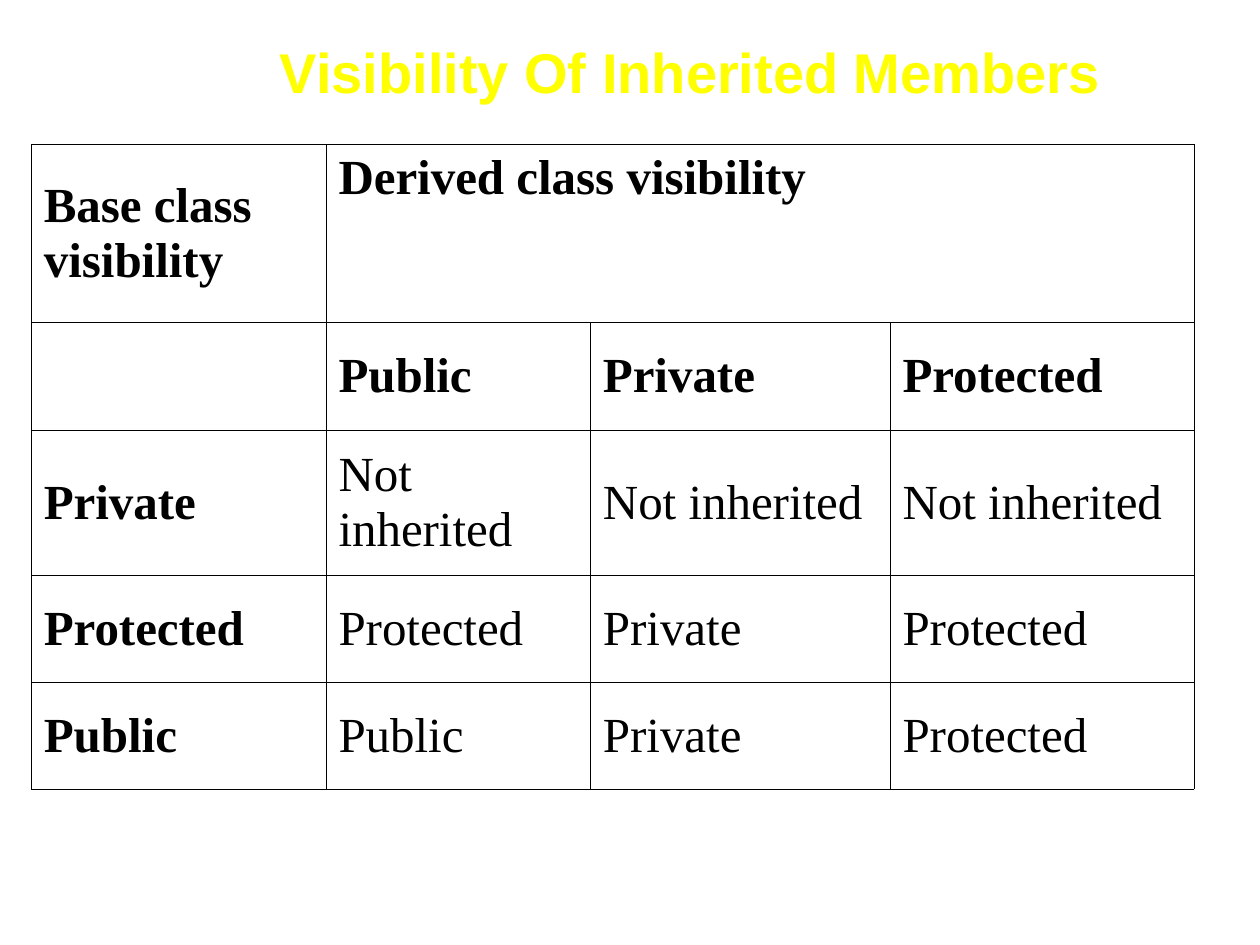
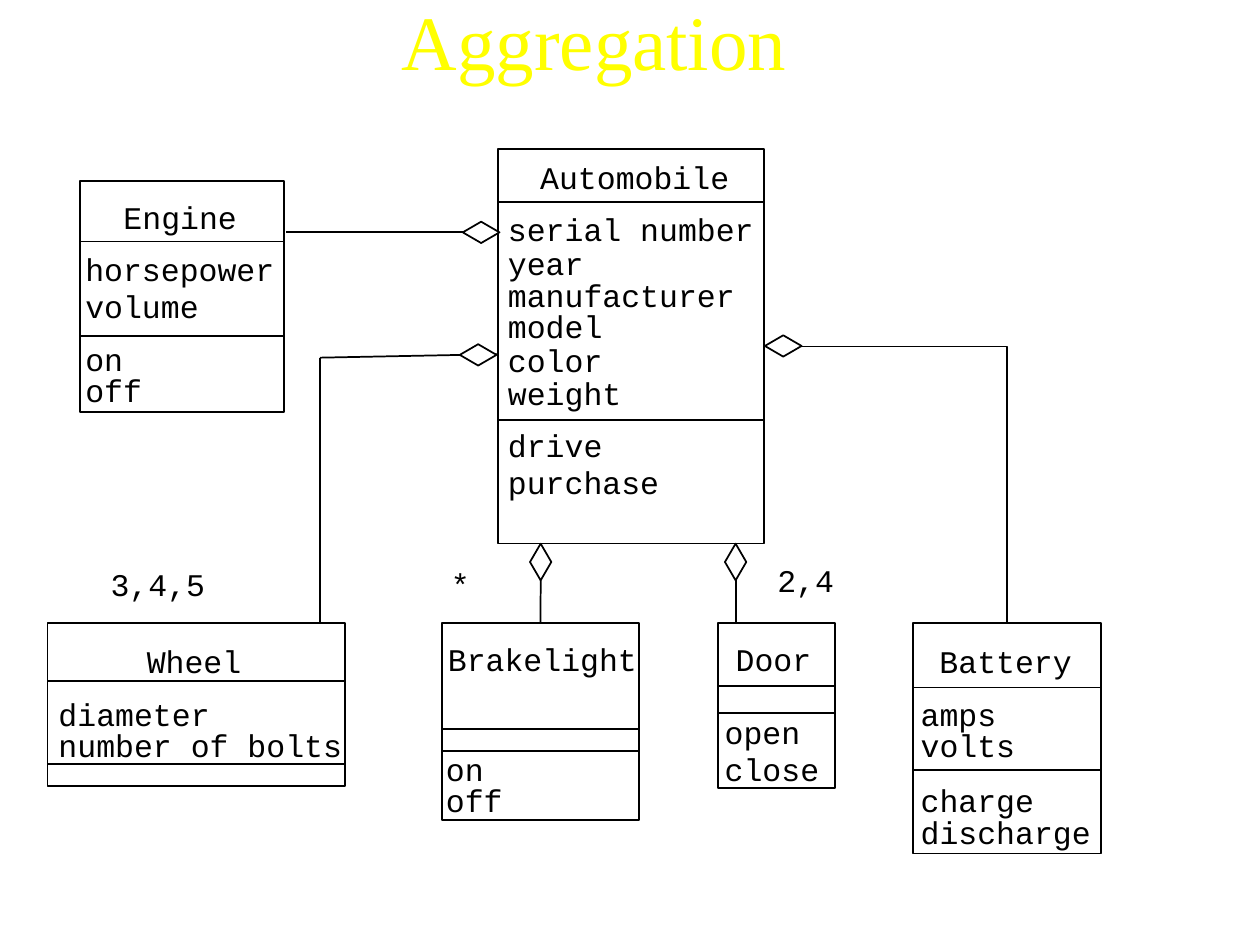
from lxml import etree
from pptx import Presentation
from pptx.dml.color import RGBColor
from pptx.enum.shapes import MSO_CONNECTOR as LINK, MSO_SHAPE as SHAPE
from pptx.enum.text import MSO_ANCHOR as ANCHOR, MSO_AUTO_SIZE as FIT, PP_ALIGN as ALIGN
from pptx.oxml.ns import qn
from pptx.util import Cm, Pt

BLACK, WHITE, YELLOW = "000000", "FFFFFF", "FFFF00"
SERIF, SANS, MONO = "Times New Roman", "Arial", "Courier New"

# Slide 1: inheritance table, lengths in cm
VISIBILITY_ROWS = [
    ("Base class visibility", "Derived class visibility", "", ""),
    ("", "Public", "Private", "Protected"),
    ("Private", "Not inherited", "Not inherited", "Not inherited"),
    ("Protected", "Protected", "Private", "Protected"),
    ("Public", "Public", "Private", "Protected"),
]
COLUMN_WIDTHS = (5.94, 5.33, 6.04, 6.13)
ROW_HEIGHTS = (3.59, 2.17, 2.92, 2.16, 2.16)

# Slide 2: class -> box, name position, left of members, dividers, members with tops
CLASSES = {
    "Automobile": ((10.04, 3.01, 5.36, 7.95), (10.64, 3.07), 9.99, (4.07, 8.46), [
        ("serial number", 4.11), ("year", 4.8), ("manufacturer", 5.44), ("model", 6.07),
        ("color", 6.76), ("weight", 7.41), ("drive", 8.46), ("purchase", 9.21)]),
    "Engine": ((1.61, 3.65, 4.12, 4.65), (2.24, 3.86), 1.47, (4.87, 6.77), [
        ("horsepower", 4.92), ("volume", 5.66), ("on", 6.72), ("off", 7.36)]),
    "Wheel": ((0.96, 12.56, 6.0, 3.29), (2.71, 12.82), 0.93, (13.73, 15.4), [
        ("diameter", 13.89), ("number of bolts", 14.52)]),
    "Brakelight": ((8.91, 12.56, 3.97, 3.97), (8.78, 12.78), 8.74, (14.7, 15.14), [
        ("on", 14.99), ("off", 15.62)]),
    "Door": ((14.48, 12.56, 2.36, 3.32), (14.58, 12.78), 14.36, (13.83, 14.38), [
        ("open", 14.25), ("close", 14.99)]),
    "Battery": ((18.4, 12.56, 3.8, 4.65), (18.69, 12.82), 18.31, (13.86, 15.52), [
        ("amps", 13.89), ("volts", 14.52), ("charge", 15.63), ("discharge", 16.26)]),
}
MULTIPLICITIES = [("3,4,5", 1.98, 11.26), ("*", 8.84, 11.26), ("2,4", 15.42, 11.18)]
ENGINE_LINK = [(9.78, 4.67), (5.77, 4.67)]
WHEEL_LINK = [(10.03, 7.14), (6.45, 7.21), (6.45, 12.56)]
SIDE_DIAMONDS = [(9.33, 4.47), (9.27, 6.94), (15.42, 6.76)]
DIAMOND_LONG, DIAMOND_SHORT = 0.74, 0.43
CHAR_WIDTH, LINE_HEIGHT, SIDE_INSETS = 0.38, 1.02, 0.58


def colour(hex_code):
    return RGBColor.from_string(hex_code)


def style(paragraph, font, size, hex_code, bold=False):
    paragraph.font.name, paragraph.font.size = font, Pt(size)
    paragraph.font.bold = bold
    paragraph.font.color.rgb = colour(hex_code)


def add_text(shapes, text, box, font, size, hex_code, bold=False, wrap=True):
    label = shapes.add_textbox(*map(Cm, box))
    frame = label.text_frame
    frame.word_wrap = wrap
    frame.auto_size = FIT.NONE
    frame.text = text
    style(frame.paragraphs[0], font, size, hex_code, bold)
    return frame


def add_title(slide, text, box, font, size, bold=False):
    frame = add_text(slide.shapes, text, box, font, size, YELLOW, bold)
    frame.paragraphs[0].alignment = ALIGN.CENTER
    return frame


def add_label(shapes, text, left, top):
    # The width leaves a little slack so that the longest names stay on one line
    width = SIDE_INSETS + CHAR_WIDTH * len(text)
    add_text(shapes, text, (left, top, width, LINE_HEIGHT), MONO, 18, BLACK, wrap=False)


def add_outline(shapes, kind, box, fill=None):
    shape = shapes.add_shape(kind, *map(Cm, box))
    shape.shadow.inherit = False
    if fill:
        shape.fill.solid()
        shape.fill.fore_color.rgb = colour(fill)
    else:
        shape.fill.background()
    shape.line.color.rgb, shape.line.width = colour(BLACK), Pt(1)
    return shape


def add_line(shapes, start, end, kind=LINK.STRAIGHT):
    line = shapes.add_connector(kind, *map(Cm, start + end))
    line.line.color.rgb, line.line.width = colour(BLACK), Pt(1)
    etree.SubElement(line._element.spPr, qn("a:effectLst"))
    return line


def add_class(slide, name, box, name_at, text_left, dividers, members):
    shapes = slide.shapes.add_group_shape().shapes
    rectangle = add_outline(shapes, SHAPE.RECTANGLE, box)
    add_label(shapes, name, *name_at)
    for member, top in members:
        add_label(shapes, member, text_left, top)
    left, _, width, _ = box
    for y in dividers:
        add_line(shapes, (left, y), (left + width, y))
    return rectangle


def add_borders(cell):
    properties = cell._tc.get_or_add_tcPr()
    for place, side in enumerate(("lnL", "lnR", "lnT", "lnB")):
        border = etree.Element(qn(f"a:{side}"), w=str(Pt(0.34)))
        fill = etree.SubElement(border, qn("a:solidFill"))
        etree.SubElement(fill, qn("a:srgbClr"), val=BLACK)
        properties.insert(place, border)


def build_visibility(slide):
    table = slide.shapes.add_table(
        len(ROW_HEIGHTS), len(COLUMN_WIDTHS), Cm(0.63), Cm(2.91),
        Cm(sum(COLUMN_WIDTHS)), Cm(sum(ROW_HEIGHTS))).table
    table.first_row = table.horz_banding = False
    for column, width in zip(table.columns, COLUMN_WIDTHS):
        column.width = Cm(width)
    for row, height in zip(table.rows, ROW_HEIGHTS):
        row.height = Cm(height)
    for r, texts in enumerate(VISIBILITY_ROWS):
        for c, text in enumerate(texts):
            cell = table.cell(r, c)
            cell.text = text
            cell.vertical_anchor = ANCHOR.MIDDLE
            cell.fill.background()
            style(cell.text_frame.paragraphs[0], SERIF, 28, BLACK, bold=r < 2 or c == 0)
            add_borders(cell)
    derived = table.cell(0, 1)
    derived.merge(table.cell(0, 3))
    derived.vertical_anchor = ANCHOR.TOP

    title = add_title(slide, "Visibility Of Inherited Members ",
                      (3.6, 0.64, 20.96, 1.63), SANS, 32, bold=True)
    title.paragraphs[0].space_before = Pt(4)


def build_aggregation(slide):
    shapes = slide.shapes
    title = add_title(slide, "Aggregation", (0.64, 0, 22.68, 1.6), SERIF, 44)
    title.vertical_anchor = ANCHOR.MIDDLE
    boxes = {name: add_class(slide, name, *parts) for name, parts in CLASSES.items()}
    for text, left, top in MULTIPLICITIES:
        add_label(shapes, text, left, top)

    # Links that reach the automobile from the sides
    for route in (ENGINE_LINK, WHEEL_LINK):
        for start, end in zip(route, route[1:]):
            add_line(shapes, start, end)
    battery_link = add_line(shapes, (15.4, 6.99), (20.3, 12.56), LINK.ELBOW)
    battery_link._element.spPr.find(qn("a:prstGeom")).set("prst", "bentConnector2")
    battery_link.begin_connect(boxes["Automobile"], 3)
    battery_link.end_connect(boxes["Battery"], 0)
    for left, top in SIDE_DIAMONDS:
        add_outline(shapes, SHAPE.DIAMOND, (left, top, DIAMOND_LONG, DIAMOND_SHORT), WHITE)

    # Links below the automobile
    for part, x in (("Brakelight", 10.9), ("Door", 14.83)):
        diamond = add_outline(shapes, SHAPE.DIAMOND, (
            x - DIAMOND_SHORT / 2, 10.96, DIAMOND_SHORT, DIAMOND_LONG), WHITE)
        link = add_line(shapes, (x, 10.96 + DIAMOND_LONG), (x, 12.56))
        link.begin_connect(diamond, 2)
        if part == "Brakelight":
            link.end_connect(boxes[part], 0)


def main():
    deck = Presentation()
    deck.slide_width, deck.slide_height = Cm(25.4), Cm(19.05)
    for build in (build_visibility, build_aggregation):
        slide = deck.slides.add_slide(deck.slide_layouts[6])
        slide.background.fill.solid()
        slide.background.fill.fore_color.rgb = colour(WHITE)
        build(slide)
    deck.save("out.pptx")


if __name__ == "__main__":
    main()
